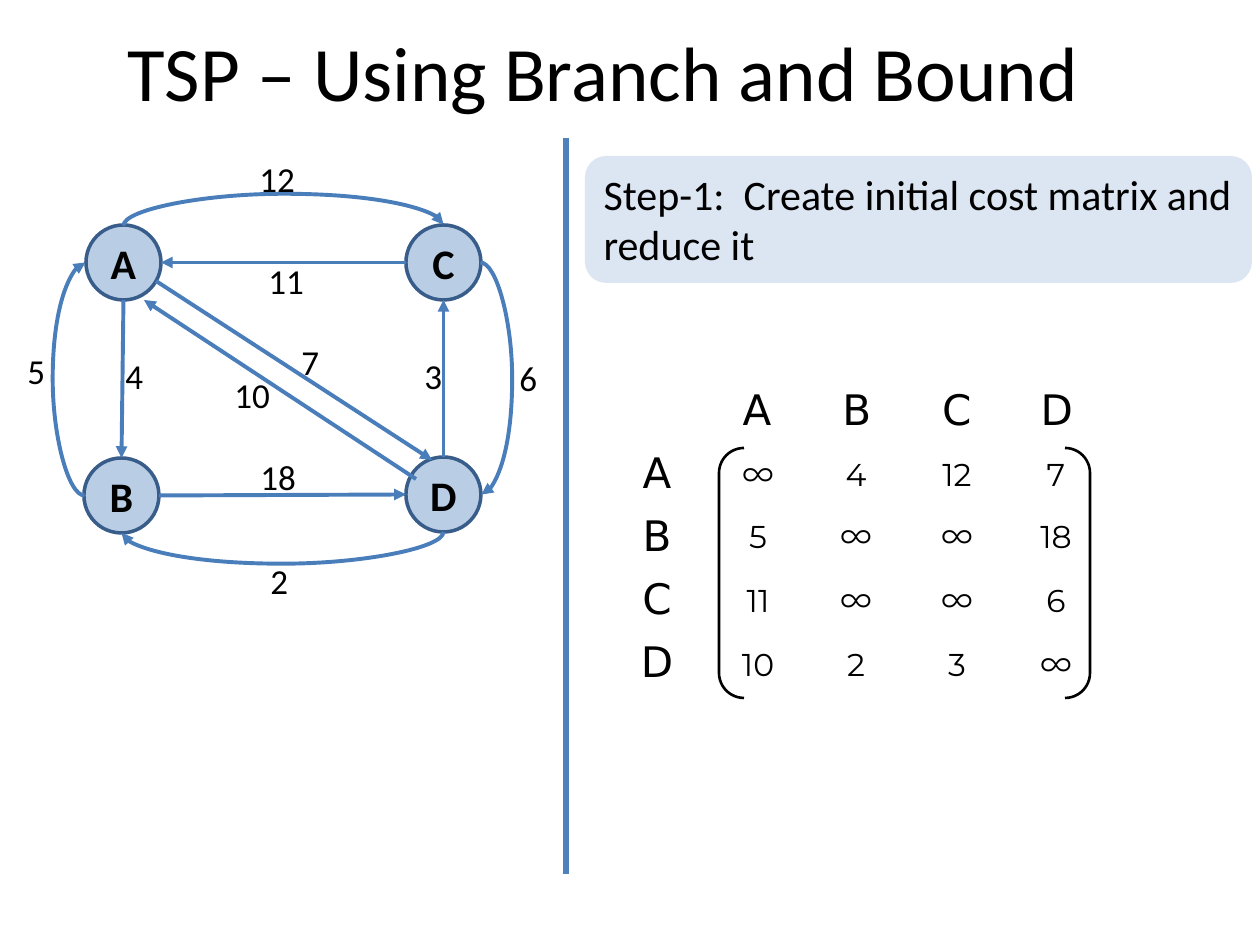
from dataclasses import dataclass
from enum import Enum

from lxml.etree import SubElement
from pptx import Presentation
from pptx.dml.color import RGBColor as Rgb
from pptx.enum.shapes import MSO_CONNECTOR as Link, MSO_SHAPE as Preset
from pptx.enum.text import MSO_ANCHOR as Anchor, PP_ALIGN as Align
from pptx.oxml.ns import qn
from pptx.util import Emu, Pt

PX_PER_INCH = 126


def px(value: float) -> Emu:
    return Emu(round(value * 914400 / PX_PER_INCH))


@dataclass(frozen=True)
class Theme:
    ink: Rgb = Rgb.from_string("000000")
    paper: Rgb = Rgb.from_string("FFFFFF")
    node_fill: Rgb = Rgb.from_string("B9CDE5")
    node_line: Rgb = Rgb.from_string("385D8A")
    edge: Rgb = Rgb.from_string("4A7EBB")
    divider: Rgb = Rgb.from_string("4F81BD")
    step_fill: Rgb = Rgb.from_string("DCE6F2")
    body_font: str = "Calibri"
    header_font: str = "DejaVu Sans"
    value_font: str = "Montserrat"
    title_size: int = 44
    text_size: int = 24
    cost_size: int = 20
    value_size: int = 18
    infinity_size: int = 20


THEME = Theme()
NODE_SIZE = 75
BULGE = 32


class Side(Enum):
    """Position on a node (x, y as fractions) and ellipse connection site."""
    TOP = (0.5, 0, 0)
    LEFT = (0, 0.5, 2)
    BOTTOM = (0.5, 1, 4)
    RIGHT = (1, 0.5, 6)


@dataclass(frozen=True)
class Node:
    left: int
    top: int

    def point(self, side: Side) -> tuple[float, float]:
        across, down, _ = side.value
        return self.left + across * NODE_SIZE, self.top + down * NODE_SIZE


@dataclass(frozen=True)
class Edge:
    start: str
    start_side: Side
    end: str
    end_side: Side
    turn: int = 0
    bulge: int = 0


@dataclass(frozen=True)
class Cost:
    text: str
    left: int
    top: int


NODES = {"A": Node(86, 225), "B": Node(84, 458),
         "C": Node(406, 225), "D": Node(406, 457)}
STRAIGHT_EDGES = [
    Edge("C", Side.LEFT, "A", Side.RIGHT),
    Edge("A", Side.BOTTOM, "B", Side.TOP),
    Edge("B", Side.RIGHT, "D", Side.LEFT),
    Edge("D", Side.TOP, "C", Side.BOTTOM),
]
DIAGONALS = [((156, 281), (432, 460)), ((416, 479), (144, 300))]
CURVED_EDGES = [
    Edge("B", Side.LEFT, "A", Side.LEFT, 0, -BULGE),
    Edge("A", Side.TOP, "C", Side.TOP, 270, BULGE),
    Edge("C", Side.RIGHT, "D", Side.RIGHT, 0, BULGE),
    Edge("D", Side.BOTTOM, "B", Side.BOTTOM, 90, BULGE),
]
COSTS = [
    Cost("4", 113, 348), Cost("5", 15, 343), Cost("18", 248, 449),
    Cost("10", 222, 367), Cost("7", 289, 334), Cost("11", 256, 253),
    Cost("3", 412, 348), Cost("6", 507, 350), Cost("12", 247, 151),
    Cost("2", 258, 553),
]
MATRIX = [["∞", "4", "12", "7"], ["5", "∞", "∞", "18"],
          ["11", "∞", "∞", "6"], ["10", "2", "3", "∞"]]
COLUMN_LEFTS = (722, 820, 921, 1020)
ROW_TOPS = (449, 511, 575, 639)


def write(frame, text: str, size: int, font: str = THEME.body_font,
          align=Align.CENTER, anchor=Anchor.MIDDLE, bold: bool = False) -> None:
    frame.word_wrap = True
    frame.vertical_anchor = anchor
    para = frame.paragraphs[0]
    para.text = text
    para.alignment = align
    para.font.name, para.font.size, para.font.bold = font, Pt(size), bold
    para.font.color.rgb = THEME.ink


def add_box(page, preset, left: int, top: int, width: int, height: int,
            fill: Rgb | None = None, line: Rgb | None = None, weight: float = 0):
    box = page.shapes.add_shape(preset, px(left), px(top), px(width), px(height))
    box.shadow.inherit = False
    if fill is None:
        box.fill.background()
    else:
        box.fill.solid()
        box.fill.fore_color.rgb = fill
    if line is None:
        box.line.fill.background()
    else:
        box.line.color.rgb = line
        box.line.width = Pt(weight)
    return box


def add_text(page, left: int, top: int, width: int, height: int, *args, **style) -> None:
    box = page.shapes.add_textbox(px(left), px(top), px(width), px(height))
    write(box.text_frame, *args, **style)


def add_line(page, start, end, kind=Link.STRAIGHT, color: Rgb = THEME.edge,
             weight: float = 2.25, arrow: bool = True):
    line = page.shapes.add_connector(kind, *map(px, (*start, *end)))
    line.line.color.rgb = color
    line.line.width = Pt(weight)
    if arrow:
        SubElement(line.line._get_or_add_ln(), qn("a:tailEnd"), type="triangle")
    SubElement(line._element.spPr, qn("a:effectLst"))
    return line


def add_curve(page, edge: Edge, ovals: dict) -> None:
    start_x, start_y = NODES[edge.start].point(edge.start_side)
    end_x, end_y = NODES[edge.end].point(edge.end_side)
    middle_x, middle_y = (start_x + end_x) / 2, (start_y + end_y) / 2
    # The unturned curve is one px wide, so its adjustment equals the bulge
    span = abs(end_x - start_x) if edge.turn else end_y - start_y
    curve = add_line(page, (middle_x - 0.5, middle_y - span / 2),
                     (middle_x + 0.5, middle_y + span / 2), Link.CURVE)
    properties = curve._element.spPr
    properties.find(qn("a:xfrm")).set("rot", str(edge.turn * 60000))
    geometry = properties.find(qn("a:prstGeom"))
    guides = geometry.find(qn("a:avLst"))
    if guides is None:
        guides = SubElement(geometry, qn("a:avLst"))
    SubElement(guides, qn("a:gd"), name="adj1", fmla=f"val {edge.bulge * 100000}")
    # Ellipses have eight sites, so the ends are joined without being moved
    curve._connect_begin_to(ovals[edge.start], edge.start_side.value[2])
    curve._connect_end_to(ovals[edge.end], edge.end_side.value[2])


def add_graph(page) -> None:
    ovals = {}
    for name, node in NODES.items():
        ovals[name] = add_box(page, Preset.OVAL, node.left, node.top, NODE_SIZE,
                              NODE_SIZE, THEME.node_fill, THEME.node_line, 2)
        write(ovals[name].text_frame, name, THEME.text_size, bold=True)
    for edge in STRAIGHT_EDGES:
        add_line(page, NODES[edge.start].point(edge.start_side),
                 NODES[edge.end].point(edge.end_side))
    for start, end in DIAGONALS:
        add_line(page, start, end)
    for edge in CURVED_EDGES:
        add_curve(page, edge, ovals)
    for cost in COSTS:
        add_text(page, cost.left, cost.top, 39 if len(cost.text) == 1 else 64, 55,
                 cost.text, THEME.cost_size, align=Align.LEFT, anchor=Anchor.TOP)


def add_matrix(page) -> None:
    # Row and column headings
    size = len(NODES) + 1
    table = page.shapes.add_table(size, size, px(607), px(379), px(500), px(315)).table
    table.first_row = table.horz_banding = False
    for row in table.rows:
        row.height = px(55)
    for cell in table.iter_cells():
        cell.fill.background()
    for index, name in enumerate(NODES, start=1):
        for cell in (table.cell(0, index), table.cell(index, 0)):
            write(cell.text_frame, name, THEME.text_size, THEME.header_font)
            cell.vertical_anchor = Anchor.MIDDLE
    # Costs
    for top, values in zip(ROW_TOPS, MATRIX):
        for left, value in zip(COLUMN_LEFTS, values):
            box = add_box(page, Preset.RECTANGLE, left, top, 72, 49, THEME.paper)
            value_size = THEME.infinity_size if value == "∞" else THEME.value_size
            write(box.text_frame, value, value_size, THEME.value_font)


def main() -> None:
    deck = Presentation()
    deck.slide_width, deck.slide_height = px(1260), px(945)
    page = deck.slides.add_slide(deck.slide_layouts[6])

    # Title and graph
    add_text(page, 0, 15, 1207, 111, "TSP – Using Branch and Bound", THEME.title_size)
    add_graph(page)

    # Step and cost matrix
    step = add_box(page, Preset.ROUNDED_RECTANGLE, 585, 156, 667, 127, THEME.step_fill)
    write(step.text_frame, "Step-1:  Create initial cost matrix and reduce it",
          THEME.text_size, align=Align.LEFT, anchor=Anchor.TOP)
    add_matrix(page)

    # Divider and matrix brackets
    add_line(page, (566, 138), (566, 874), color=THEME.divider, weight=3, arrow=False)
    brackets = add_box(page, Preset.DOUBLE_BRACKET, 719, 448, 371, 250,
                       line=THEME.ink, weight=1.5)
    brackets.adjustments[0] = 0.1
    deck.save("out.pptx")


if __name__ == "__main__":
    main()
